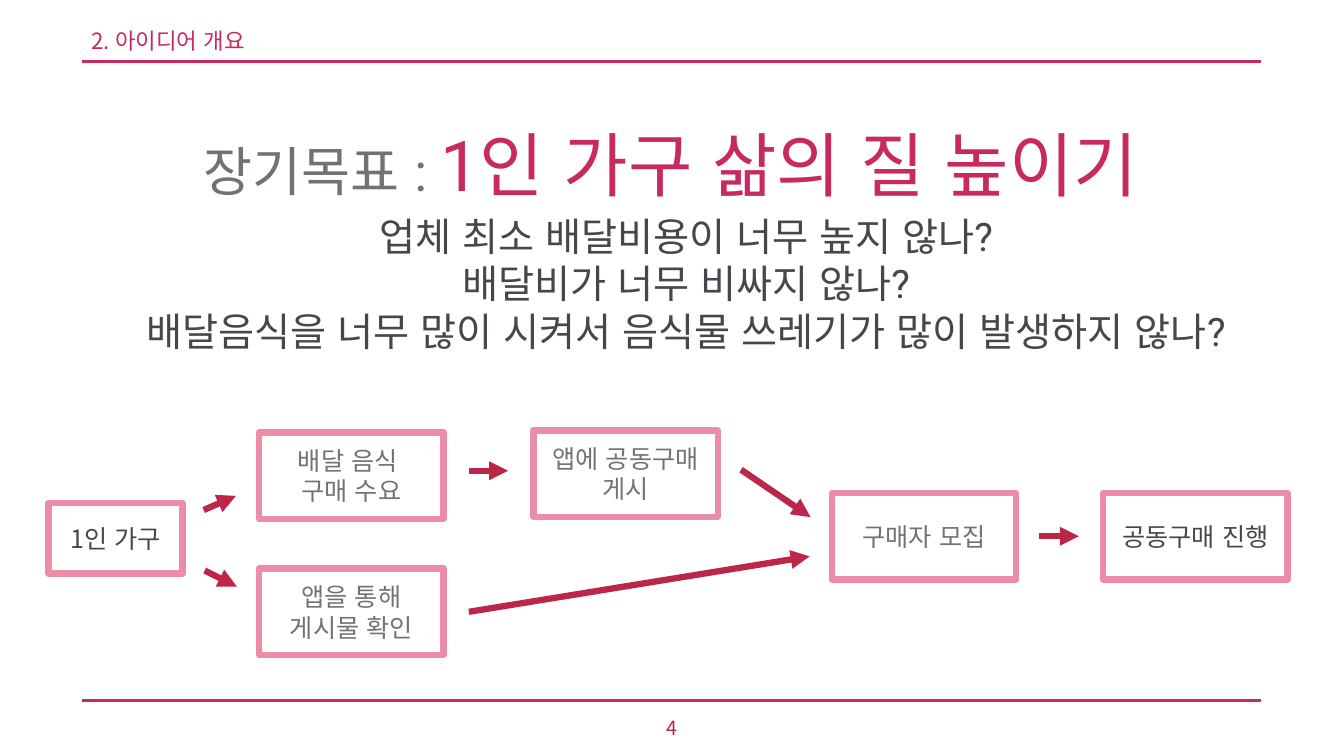
import pptx
import pptx.dml.color
import pptx.enum.lang
import pptx.enum.shapes
import pptx.enum.text
import pptx.oxml.ns
import pptx.util
from lxml import etree

Inches = pptx.util.Inches
Pt = pptx.util.Pt
RGBColor = pptx.dml.color.RGBColor
MSO_ANCHOR = pptx.enum.text.MSO_ANCHOR
PP_ALIGN = pptx.enum.text.PP_ALIGN
qn = pptx.oxml.ns.qn

PINK = RGBColor(0xC8, 0x2A, 0x5F)
CRIMSON = RGBColor(0xBB, 0x26, 0x49)
ROSE = RGBColor(0xEB, 0x8D, 0xA6)
GRAY = RGBColor(0x76, 0x71, 0x71)
DARK = RGBColor(0x46, 0x46, 0x4C)
WHITE = RGBColor(0xFF, 0xFF, 0xFF)
KOREAN_FONT = "Noto Sans CJK KR"
LATIN_FONT = "Roboto"


def add_span(para, text, *, size, color, font=KOREAN_FONT):
    span = para.add_run()
    span.text = text
    span.font.size = Pt(size)
    span.font.color.rgb = color
    span.font.name = font
    span.font.language_id = pptx.enum.lang.MSO_LANGUAGE_ID.KOREAN
    etree.SubElement(span._r.get_or_add_rPr(), qn("a:ea"), typeface=KOREAN_FONT)


def place(shape, left, top, width, height):
    shape.left, shape.top = Inches(left), Inches(top)
    shape.width, shape.height = Inches(width), Inches(height)


class SlideBuilder:
    def __init__(self, deck):
        self.slide = deck.slides.add_slide(deck.slide_layouts[1])
        self.shapes = self.slide.shapes

    def fill_text(self, frame, lines, *, align=PP_ALIGN.LEFT, anchor=MSO_ANCHOR.TOP,
                  spacing=1.0, **style):
        """Fill a text frame; each line is a list of (text, style overrides)."""
        frame.word_wrap = True
        frame.auto_size = pptx.enum.text.MSO_AUTO_SIZE.NONE
        frame.vertical_anchor = anchor
        for index, line in enumerate(lines):
            para = frame.add_paragraph() if index else frame.paragraphs[0]
            para.alignment = align
            para.line_spacing = spacing
            para.space_before = Pt(0)
            for text, changes in line:
                add_span(para, text, **{**style, **changes})

    def label(self, text, at, **style):
        box = self.shapes.add_textbox(*map(Inches, at))
        self.fill_text(box.text_frame, [[(text, {})]], **style)

    def headline(self, spans, at, **style):
        title = self.shapes.title
        place(title, *at)
        self.fill_text(title.text_frame, [spans], align=PP_ALIGN.CENTER, **style)

    def questions(self, lines, at, **style):
        body = self.slide.placeholders[1]
        place(body, *at)
        self.fill_text(body.text_frame, [[(line, {})] for line in lines],
                       align=PP_ALIGN.CENTER, **style)
        for para in body.text_frame.paragraphs:
            properties = para._p.get_or_add_pPr()
            properties.set("marL", "0")
            properties.set("indent", "0")
            etree.SubElement(properties, qn("a:buNone"))

    def step(self, lines, at, color):
        box = self.shapes.add_shape(
            pptx.enum.shapes.MSO_SHAPE.RECTANGLE, *map(Inches, at))
        box.shadow.inherit = False
        box.fill.solid()
        box.fill.fore_color.rgb = WHITE
        box.line.color.rgb = ROSE
        box.line.width = Pt(4.5)
        frame = box.text_frame
        frame.margin_top = frame.margin_bottom = Inches(0.12)
        self.fill_text(frame, [[(line, {})] for line in lines], size=18, color=color,
                       align=PP_ALIGN.CENTER, anchor=MSO_ANCHOR.MIDDLE)

    def line(self, start, end, *, color, width, arrow=False):
        connector = self.shapes.add_connector(
            pptx.enum.shapes.MSO_CONNECTOR.STRAIGHT, *map(Inches, start + end))
        connector.line.color.rgb = color
        connector.line.width = Pt(width)
        properties = connector._element.spPr
        if arrow:
            etree.SubElement(properties.find(qn("a:ln")), qn("a:tailEnd"), type="triangle")
        etree.SubElement(properties, qn("a:effectLst"))


def main():
    deck = pptx.Presentation()
    deck.slide_width, deck.slide_height = Inches(13.33), Inches(7.5)
    page = SlideBuilder(deck)

    page.label("2. 아이디어 개요", (0.81, 0.22, 7.53, 0.37), size=16, color=PINK)
    for rule_y in (0.61, 6.95):
        page.line((0.81, rule_y), (12.51, rule_y), color=PINK, width=2.25)
    page.label("4", (6.51, 7.05, 0.3, 0.34), size=14, color=CRIMSON)

    page.headline(
        [("장기목표 : ", {}), ("1인 가구 삶의 질 높이기", {"size": 50, "color": PINK})],
        (0.35, 0.74, 12.61, 1.22),
        size=38, color=GRAY, font=LATIN_FONT, spacing=1.5)
    page.questions(
        ["업체 최소 배달비용이 너무 높지 않나?",
         "배달비가 너무 비싸지 않나?",
         "배달음식을 너무 많이 시켜서 음식물 쓰레기가 많이 발생하지 않나?"],
        (0.5, 2.06, 12.61, 1.51), size=28, color=DARK, font=LATIN_FONT)

    step_size = (1.83, 0.86)
    steps = [
        (["1인 가구"], (0.48, 4.99, 1.33, 0.7), DARK),
        (["배달 음식 ", "구매 수요"], (2.57, 4.29, *step_size), GRAY),
        (["앱을 통해", "게시물 확인"], (2.57, 5.64, *step_size), GRAY),
        (["앱에 공동구매", "게시"], (5.29, 4.27, *step_size), GRAY),
        (["구매자 모집"], (8.25, 4.89, *step_size), GRAY),
        (["공동구매 진행"], (10.94, 4.89, *step_size), DARK),
    ]
    for lines, at, color in steps:
        page.step(lines, at, color)

    arrows = [
        ((2.02, 5.06), (2.34, 4.92)),
        ((2.03, 5.66), (2.35, 5.82)),
        ((4.65, 4.67), (5.04, 4.67)),
        ((4.65, 6.07), (8.03, 5.52)),
        ((7.35, 4.66), (8.04, 5.13)),
        ((10.31, 5.32), (10.7, 5.32)),
    ]
    for start, end in arrows:
        page.line(start, end, color=CRIMSON, width=4.5, arrow=True)

    deck.save("out.pptx")


if __name__ == "__main__":
    main()
